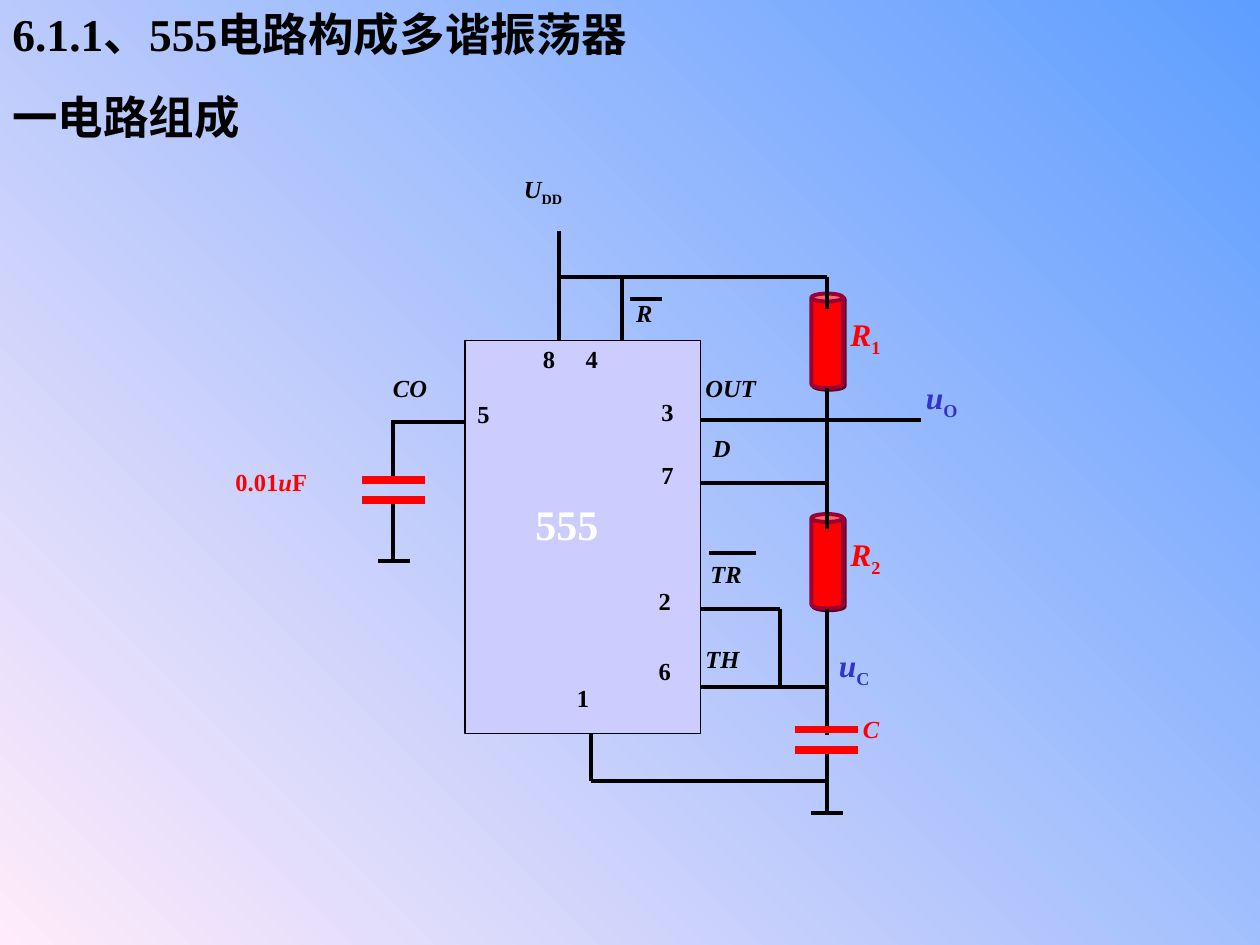
"""Build the slide showing a 555 timer wired as an astable multivibrator."""
from itertools import pairwise

from lxml import etree
from pptx import Presentation
from pptx.dml.color import RGBColor
from pptx.enum.shapes import MSO_CONNECTOR, MSO_SHAPE
from pptx.enum.text import PP_ALIGN
from pptx.oxml.ns import qn
from pptx.util import Pt

PX = 9144
FONT = "Times New Roman"
STRAIGHT = MSO_CONNECTOR.STRAIGHT
RECTANGLE, CAN = MSO_SHAPE.RECTANGLE, MSO_SHAPE.CAN
JUSTIFY = PP_ALIGN.JUSTIFY

BLACK = RGBColor(0x00, 0x00, 0x00)
WHITE = RGBColor(0xFF, 0xFF, 0xFF)
RED = RGBColor(0xFF, 0x00, 0x00)
MAROON = RGBColor(0x99, 0x00, 0x33)
BLUE = RGBColor(0x33, 0x33, 0xCC)
LAVENDER = RGBColor(0xCC, 0xCC, 0xFF)
PINK = RGBColor(0xFF, 0xEB, 0xFA)
SKY = RGBColor(0x5E, 0x9E, 0xFF)


def add_wire(points, colour, width):
    for (x1, y1), (x2, y2) in pairwise(points):
        wire = slide.shapes.add_connector(STRAIGHT, x1 * PX, y1 * PX, x2 * PX, y2 * PX)
        wire.line.color.rgb = colour
        wire.line.width = Pt(width)
        etree.SubElement(wire._element.spPr, qn("a:effectLst"))


def add_label(left, top, width, height, size, colour, italic, *texts):
    frame = slide.shapes.add_textbox(left * PX, top * PX, width * PX, height * PX).text_frame
    frame.word_wrap = True
    for index, text in enumerate(texts):
        paragraph = frame.paragraphs[0] if index == 0 else frame.add_paragraph()
        font = paragraph.font
        font.name, font.size, font.bold, font.italic = FONT, Pt(size), True, italic
        font.color.rgb = colour
        paragraph.add_run().text = text
    return frame


prs = Presentation()
prs.slide_width, prs.slide_height = 1000 * PX, 750 * PX
slide = prs.slides.add_slide(prs.slide_layouts[6])

backdrop = slide.background.fill
backdrop.gradient()
backdrop.gradient_angle = 45
for stop, colour in zip(backdrop.gradient_stops, (PINK, SKY)):
    stop.color.rgb = colour

title = add_label(0, 0, 683, 119, 26, BLACK, False, "6.1.1、555电路构成多谐振荡器", "一电路组成")
for paragraph in title.paragraphs:
    paragraph.alignment = JUSTIFY
title.paragraphs[1].space_before = Pt(16.2)

for top in (233, 408):
    resistor = slide.shapes.add_shape(CAN, 644 * PX, top * PX, 25 * PX, 75 * PX)
    resistor.adjustments[0] = 0.25
    resistor.fill.solid()
    resistor.fill.fore_color.rgb = RED
    resistor.line.color.rgb = MAROON
    resistor.line.width = Pt(2.25)
    resistor.shadow.inherit = False
    effects = resistor._element.spPr.find(qn("a:effectLst"))
    shadow = etree.SubElement(effects, qn("a:outerShdw"), dist=str(Pt(1.4)), dir="2700000")
    etree.SubElement(shadow, qn("a:srgbClr"), val="5C001F")

timer = slide.shapes.add_shape(RECTANGLE, 369 * PX, 270 * PX, 187 * PX, 312 * PX)
timer.shadow.inherit = False
timer.fill.solid()
timer.fill.fore_color.rgb = LAVENDER
timer.line.color.rgb = BLACK
timer.line.width = Pt(0.75)

WIRES = [
    [(469, 551 + 31), (469, 620), (656, 620)],
    [(375, 335), (312, 335)],
    [(312, 333), (312, 383)],
    [(312, 397), (312, 447)],
    [(300, 445), (325, 445)],
    [(444, 270), (444, 183)],
    [(494, 270), (494, 220)],
    [(444, 220), (656, 220), (656, 245)],
    [(656, 308), (656, 420)],
    [(656, 483), (656, 583)],
    [(656, 595), (656, 645)],
    [(644, 645), (669, 645)],
    [(556, 333), (731, 333)],
    [(556, 383), (656, 383)],
    [(556, 483), (619, 483), (619, 545)],
    [(556, 545), (656, 545)],
]
WIRES[0][0] = (469, 582)
WIRES[1][0] = (369, 335)
OVERBARS = [[(500, 237), (525, 237)], [(563, 439), (600, 439)]]
for points in WIRES + OVERBARS:
    add_wire(points, BLACK, 2.25)

for left, top in ((287, 381), (631, 579)):
    for plate in (top, top + 16):
        add_wire([(left, plate), (left + 50, plate)], RED, 4.5)

add_label(415, 391, 125, 50, 24, WHITE, False, "555")

PINS = [("8", 421, 268), ("4", 455, 268), ("5", 369, 312), ("1", 448, 537),
        ("3", 515, 310), ("7", 515, 360), ("2", 513, 460), ("6", 513, 516)]
for number, left, top in PINS:
    add_label(left, top, 50, 34, 14, BLACK, False, number)

SIGNALS = [("CO", 302, 291, 75), ("R", 495, 232, 75), ("OUT", 550, 291, 112),
           ("D", 556, 339, 112), ("TR", 554, 439, 112), ("TH", 550, 506, 112)]
for signal, left, top, width in SIGNALS:
    add_label(left, top, width, 34, 14, BLACK, True, signal)

add_label(675, 562, 50, 34, 14, RED, True, "C")

capacitance = add_label(177, 366, 123, 34, 14, RED, False, "0.01").paragraphs[0]
for text, italic in (("u", True), ("F", False)):
    run = capacitance.add_run()
    run.text = text
    run.font.italic = italic

QUANTITIES = [("U", "DD", 406, 133, 87, 37, 14, BLACK),
              ("R", "1", 665, 245, 88, 44, 18, RED),
              ("R", "2", 665, 420, 88, 44, 18, RED),
              ("u", "O", 725, 295, 77, 44, 18, BLUE),
              ("u", "C", 656, 508, 77, 44, 18, BLUE)]
for symbol, index, left, top, width, height, size, colour in QUANTITIES:
    quantity = add_label(left, top, width, height, size, colour, True, symbol)
    subscript = quantity.paragraphs[0].add_run()
    subscript.text = index
    subscript.font.italic = False
    subscript._r.get_or_add_rPr().set("baseline", "-25000")

prs.save("out.pptx")
